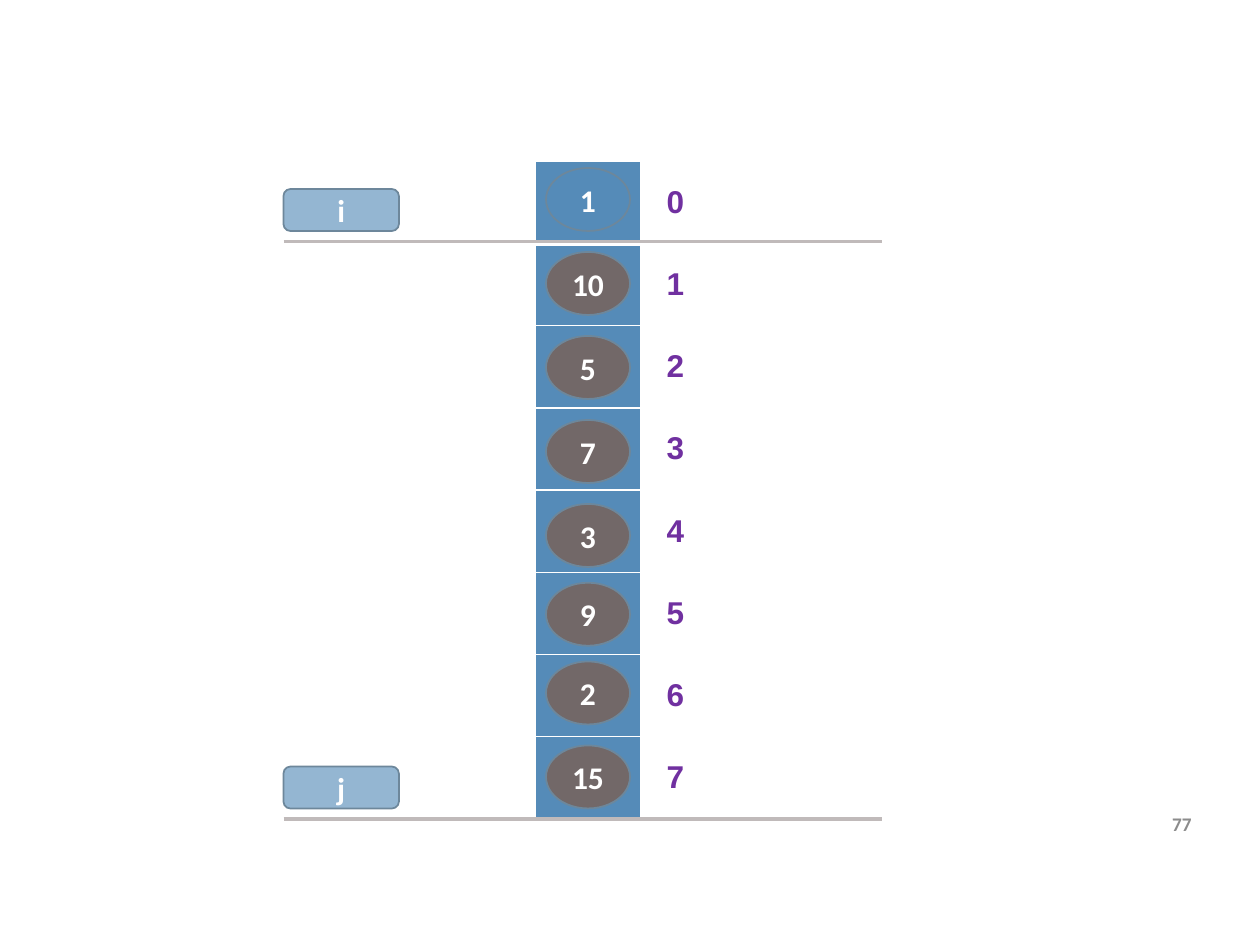
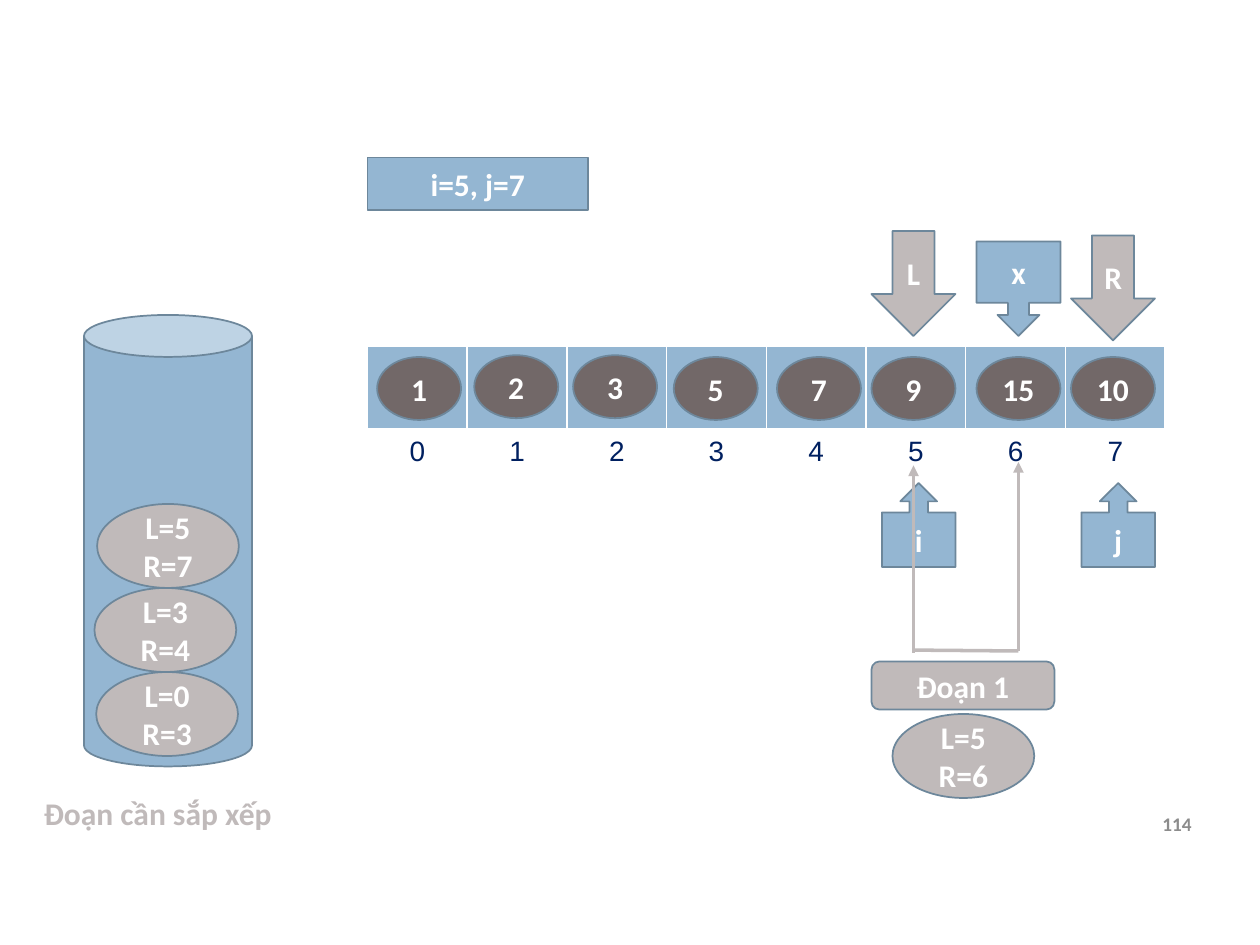
from pptx import Presentation
from pptx.util import Pt
from pptx.dml.color import RGBColor
from pptx.enum.shapes import MSO_CONNECTOR, MSO_SHAPE
from pptx.enum.text import MSO_ANCHOR, MSO_AUTO_SIZE, PP_ALIGN
from pptx.oxml.ns import qn
from lxml.etree import SubElement

C = {"white": "FFFFFF", "cell": "558BB8", "blue": "94B6D2", "edge": "6D879B",
     "ball": "726868", "gray": "C0BABA", "page": "8C8C8C",
     "purple": "7030A0", "navy": "002060"}
BOLD = {"name": "Calibri", "size": Pt(18), "bold": True}


def write(tf, text, color, align=PP_ALIGN.CENTER, fmt=BOLD):
    for i, line in enumerate(text.split("\n")):
        p = tf.paragraphs[0] if i == 0 else tf.add_paragraph()
        p.alignment = align
        r = p.add_run()
        r.text = line
        for name, value in fmt.items():
            setattr(r.font, name, value)
        r.font.color.rgb = RGBColor.from_string(C[color])


def add_shape(s, kind, x, y, w, h, fill, text=""):
    sp = s.shapes.add_shape(kind, Pt(x), Pt(y), Pt(w), Pt(h))
    sp.shadow.inherit = False
    sp.fill.solid()
    sp.fill.fore_color.rgb = RGBColor.from_string(C[fill])
    sp.line.color.rgb = RGBColor.from_string(C["edge"])
    sp.line.width = Pt(1)
    if text:
        sp.text_frame.vertical_anchor = MSO_ANCHOR.MIDDLE
        write(sp.text_frame, text, "white")


prs = Presentation()
prs.slide_width, prs.slide_height = Pt(720), Pt(540)
column_slide, stack_slide = [prs.slides.add_slide(prs.slide_layouts[6]) for _ in range(2)]

arrays = [
    (column_slide, True, (306, 92), (60, 40), [47] * 8, "cell", "purple", MSO_ANCHOR.MIDDLE,
     {"name": "Arial", "size": Pt(18), "bold": True}),
    (stack_slide, False, (210, 198), [57] * 8, (48, 48), "blue", "navy", MSO_ANCHOR.TOP,
     {"name": "Arial", "size": Pt(16), "bold": False}),
]
for s, vertical, (x, y), widths, heights, fill, color, anchor, fmt in arrays:
    tbl = s.shapes.add_table(len(heights), len(widths), Pt(x), Pt(y),
                             Pt(sum(widths)), Pt(sum(heights))).table
    tbl.first_row = tbl.horz_banding = False
    for col, w in zip(tbl.columns, widths):
        col.width = Pt(w)
    for i, (row, h) in enumerate(zip(tbl.rows, heights)):
        row.height = Pt(h)
        for j, cell in enumerate(row.cells):
            for side in "LRTB":
                width = Pt(3 if side == "B" and i == 0 else 1)
                ln = SubElement(cell._tc.get_or_add_tcPr(), qn(f"a:ln{side}"), w=str(width))
                SubElement(SubElement(ln, qn("a:solidFill")), qn("a:srgbClr"), val=C["white"])
            index, part = (i, j) if vertical else (j, i)
            if part == 0:
                cell.fill.solid()
                cell.fill.fore_color.rgb = RGBColor.from_string(C[fill])
            else:
                cell.fill.background()
                cell.vertical_anchor = anchor
                write(cell.text_frame, str(index), color, fmt=fmt)

for s, number in [(column_slide, "77"), (stack_slide, "114")]:
    tf = s.shapes.add_textbox(Pt(640), Pt(450), Pt(48), Pt(41)).text_frame
    tf.word_wrap = True
    tf.vertical_anchor = MSO_ANCHOR.MIDDLE
    write(tf, number, "page", PP_ALIGN.RIGHT, {**BOLD, "size": Pt(11)})

tops = [96, 144, 192, 240, 288, 333, 378, 426]
for value, y in zip([1, 10, 5, 7, 3, 9, 2, 15], tops):
    add_shape(column_slide, MSO_SHAPE.OVAL, 312, y, 48, 36,
              "cell" if value == 1 else "ball", str(value))
for name, y in [("i", 108), ("j", 438)]:
    add_shape(column_slide, MSO_SHAPE.ROUNDED_RECTANGLE, 162, y, 66, 24, "blue", name)

add_shape(stack_slide, MSO_SHAPE.CAN, 48, 180, 96, 258, "blue")
tf = stack_slide.shapes.add_textbox(Pt(18), Pt(450), Pt(150.5), Pt(29)).text_frame
tf.word_wrap = False
tf.auto_size = MSO_AUTO_SIZE.SHAPE_TO_FIT_TEXT
write(tf, "Đoạn cần sắp xếp", "gray", PP_ALIGN.LEFT)

markers = [
    (MSO_SHAPE.UP_ARROW_CALLOUT, 504, 276, 42, 48, "blue", "i"),
    (MSO_SHAPE.UP_ARROW_CALLOUT, 618, 276, 42, 48, "blue", "j"),
    (MSO_SHAPE.FLOWCHART_PROCESS, 210, 90, 126, 30, "blue", "i=5, j=7"),
    (MSO_SHAPE.DOWN_ARROW_CALLOUT, 558, 138, 48, 54, "blue", "x"),
    (MSO_SHAPE.DOWN_ARROW, 498, 132, 48, 60, "gray", "L"),
    (MSO_SHAPE.DOWN_ARROW, 612, 134.5, 48, 60, "gray", "R"),
    (MSO_SHAPE.ROUNDED_RECTANGLE, 498, 378, 104.5, 27.5, "gray", "Đoạn 1"),
]
for marker in markers:
    add_shape(stack_slide, *marker)
segments = [(55, 384, "L=0\nR=3"), (54, 336, "L=3\nR=4"),
            (55.5, 288, "L=5\nR=7"), (510, 408, "L=5\nR=6")]
for x, y, text in segments:
    add_shape(stack_slide, MSO_SHAPE.OVAL, x, y, 81, 48, "gray", text)
balls = [(1, 215.5, 204), (2, 271, 203), (3, 327.5, 203), (5, 385, 204),
         (7, 444, 204), (9, 498, 204), (15, 558, 204), (10, 612, 204)]
for value, x, y in balls:
    add_shape(stack_slide, MSO_SHAPE.OVAL, x, y, 48, 36, "ball", str(value))

lines = [
    (column_slide, (162, 138, 504, 138), False),
    (column_slide, (162, 468, 504, 468), False),
    (stack_slide, (522, 371.5, 582, 372), False),
    (stack_slide, (522, 373, 522, 266), True),
    (stack_slide, (582, 372, 582, 264), True),
]
for s, ends, arrow in lines:
    cx = s.shapes.add_connector(MSO_CONNECTOR.STRAIGHT, *map(Pt, ends))
    cx.line.color.rgb = RGBColor.from_string(C["gray"])
    cx.line.width = Pt(2)
    if arrow:
        SubElement(cx.line._get_or_add_ln(), qn("a:tailEnd"), type="triangle")
    SubElement(cx._element.spPr, qn("a:effectLst"))

prs.save("out.pptx")
